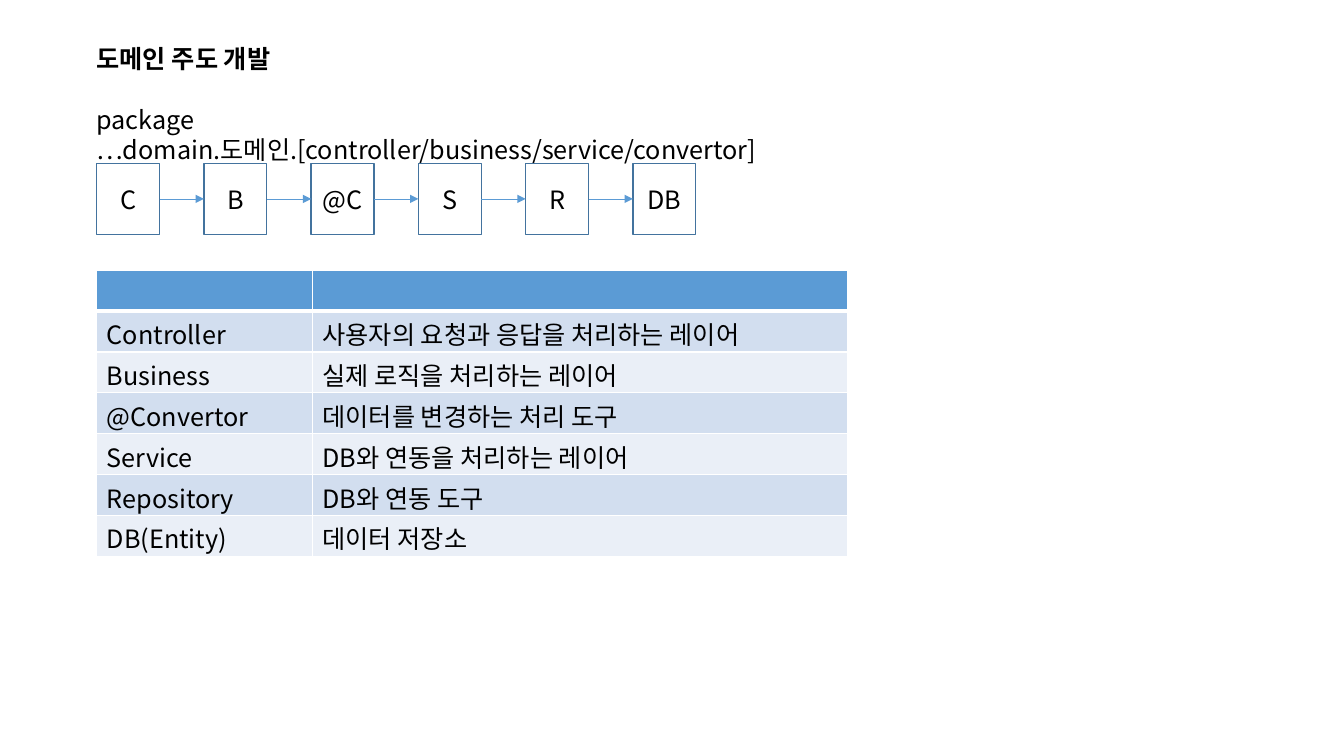
from itertools import pairwise

from lxml.etree import SubElement
from pptx import Presentation
from pptx.dml.color import RGBColor
from pptx.enum.shapes import MSO_CONNECTOR, MSO_SHAPE
from pptx.enum.text import MSO_ANCHOR, PP_ALIGN
from pptx.oxml.ns import qn
from pptx.util import Pt

FONT = "Noto Sans CJK KR"
COLORS = {
    "text": "000000",
    "box_line": "43739E",
    "accent": "5B9BD5",
    "band_dark": "D2DEEF",
    "band_light": "EAEFF7",
    "border": "FFFFFF",
}
LEFT = 69.1
LINE_HEIGHT = 21.6
BOX_TOP, BOX_WIDTH, BOX_HEIGHT, BOX_PITCH = 116.8, 44.9, 50.6, 76.6
TABLE_TOP, ROW_HEIGHT = 193, 29.2
COLUMN_WIDTHS = (154.1, 382.3)

TITLE = "도메인 주도 개발"
PACKAGE = "package …domain.도메인.[controller/business/service/convertor]"
FLOW = ("C", "B", "@C", "S", "R", "DB")
LAYERS = (
    ("", ""),
    ("Controller", "사용자의 요청과 응답을 처리하는 레이어"),
    ("Business", "실제 로직을 처리하는 레이어"),
    ("@Convertor", "데이터를 변경하는 처리 도구"),
    ("Service", "DB와 연동을 처리하는 레이어"),
    ("Repository", "DB와 연동 도구"),
    ("DB(Entity)", "데이터 저장소"),
)


def color(name):
    """Return the named colour."""
    return RGBColor.from_string(COLORS[name])


def add_run(paragraph, text, bold=False):
    """Add one formatted run, with the font set for Korean text too."""
    run = paragraph.add_run()
    run.text = text
    run.font.size = Pt(18)
    run.font.bold = bold
    run.font.name = FONT
    run.font.color.rgb = color("text")
    SubElement(run.font._element, qn("a:ea"), typeface=FONT)


def add_heading(slide):
    """Add the title and the package pattern below it."""
    box = slide.shapes.add_textbox(Pt(61.9), Pt(27.4), Pt(542.9), Pt(72.7))
    frame = box.text_frame
    frame.word_wrap = True
    title, package = frame.paragraphs[0], frame.add_paragraph()
    title.line_spacing = package.line_spacing = Pt(LINE_HEIGHT)
    package.space_before = Pt(LINE_HEIGHT)
    add_run(title, TITLE, bold=True)
    add_run(package, PACKAGE)


def add_box(slide, index, label):
    """Add one outlined step of the flow."""
    box = slide.shapes.add_shape(
        MSO_SHAPE.RECTANGLE,
        Pt(LEFT + index * BOX_PITCH), Pt(BOX_TOP), Pt(BOX_WIDTH), Pt(BOX_HEIGHT),
    )
    box.shadow.inherit = False
    box.fill.background()
    box.line.color.rgb = color("box_line")
    box.line.width = Pt(1)
    box.text_frame.vertical_anchor = MSO_ANCHOR.MIDDLE
    paragraph = box.text_frame.paragraphs[0]
    paragraph.alignment = PP_ALIGN.CENTER
    add_run(paragraph, label)
    return box


def add_arrow(slide, source, target):
    """Join two neighbouring boxes with an arrow."""
    arrow = slide.shapes.add_connector(MSO_CONNECTOR.STRAIGHT, 0, 0, 0, 0)
    arrow.begin_connect(source, 3)
    arrow.end_connect(target, 1)
    arrow.line.color.rgb = color("accent")
    arrow.line.width = Pt(0.5)
    SubElement(arrow.line._get_or_add_ln(), qn("a:tailEnd"), type="triangle")
    SubElement(arrow._element.spPr, qn("a:effectLst"))


def add_borders(cell, bottom_width):
    """Draw the four borders of a table cell."""
    properties = cell._tc.get_or_add_tcPr()
    for side, width in (("L", 1), ("R", 1), ("T", 1), ("B", bottom_width)):
        line = SubElement(properties, qn(f"a:ln{side}"), w=str(Pt(width)))
        fill = SubElement(line, qn("a:solidFill"))
        SubElement(fill, qn("a:srgbClr"), val=COLORS["border"])


def fill_cell(cell, text, fill, bottom_width):
    """Style one table cell and write its text."""
    add_borders(cell, bottom_width)
    cell.fill.solid()
    cell.fill.fore_color.rgb = color(fill)
    cell.margin_top, cell.margin_bottom = Pt(7.5), Pt(0)
    paragraph = cell.text_frame.paragraphs[0]
    paragraph.line_spacing = Pt(LINE_HEIGHT)
    if text:
        add_run(paragraph, text)


def add_layer_table(slide):
    """Add the table that explains each layer."""
    table = slide.shapes.add_table(
        len(LAYERS), len(COLUMN_WIDTHS), Pt(LEFT), Pt(TABLE_TOP),
        Pt(sum(COLUMN_WIDTHS)), Pt(ROW_HEIGHT * len(LAYERS)),
    ).table
    for column, width in zip(table.columns, COLUMN_WIDTHS):
        column.width = Pt(width)
    for index, (row, texts) in enumerate(zip(table.rows, LAYERS)):
        row.height = Pt(ROW_HEIGHT)
        band = "band_dark" if index % 2 else "band_light"
        fill, bottom_width = (band, 1) if index else ("accent", 3)
        for cell, text in zip(row.cells, texts):
            fill_cell(cell, text, fill, bottom_width)


def main():
    """Build and save the slide."""
    presentation = Presentation()
    presentation.slide_width, presentation.slide_height = Pt(960), Pt(540)
    slide = presentation.slides.add_slide(presentation.slide_layouts[6])
    add_heading(slide)
    boxes = [add_box(slide, index, label) for index, label in enumerate(FLOW)]
    for source, target in pairwise(boxes):
        add_arrow(slide, source, target)
    add_layer_table(slide)
    presentation.save("out.pptx")


main()
